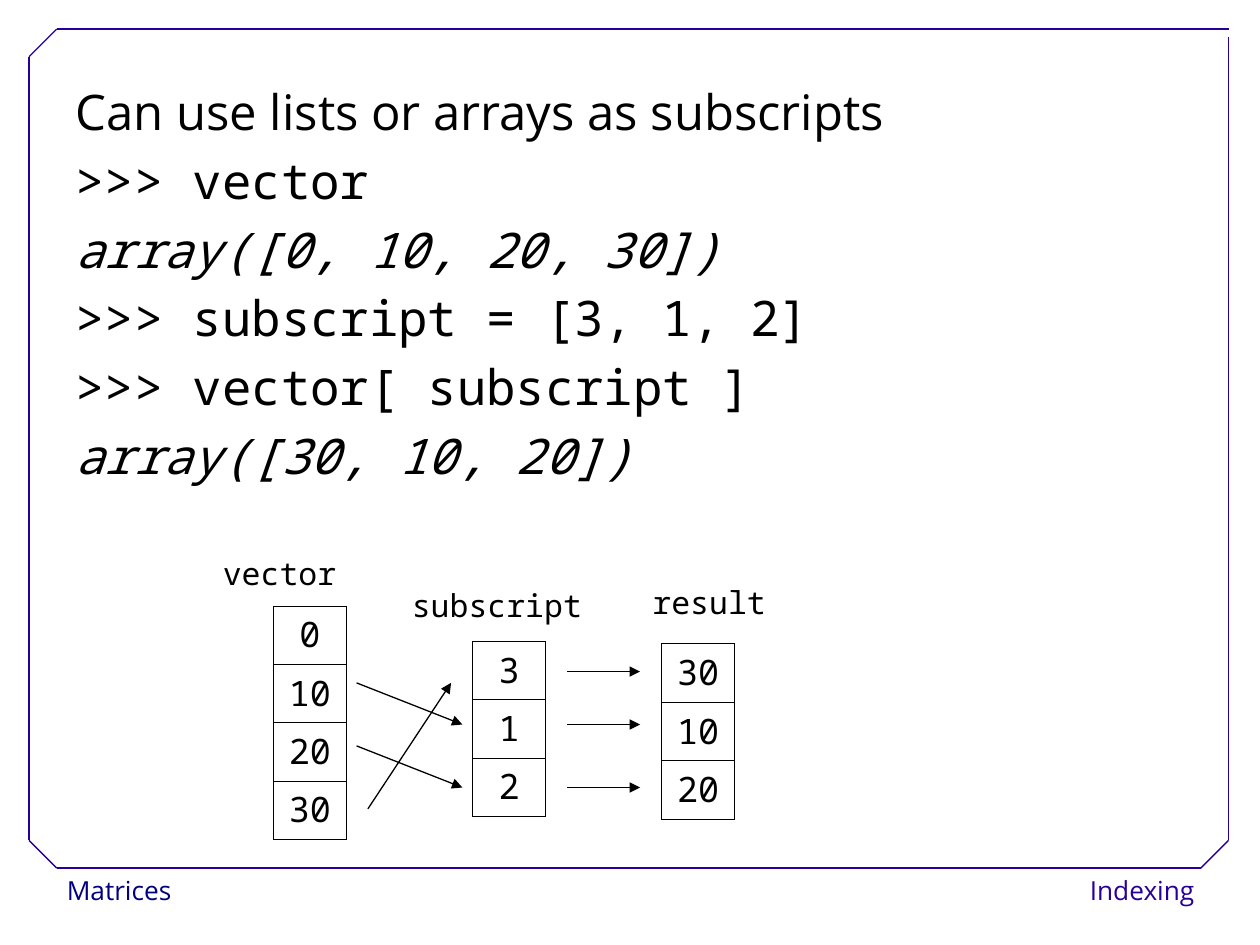
from dataclasses import dataclass

from lxml.etree import SubElement as Sub
from pptx import Presentation
from pptx.dml.color import RGBColor as Rgb
from pptx.enum.shapes import MSO_CONNECTOR as Link
from pptx.enum.text import MSO_ANCHOR as Anchor
from pptx.enum.text import MSO_AUTO_SIZE as Fit
from pptx.enum.text import PP_ALIGN as Align
from pptx.oxml.ns import qn
from pptx.util import Inches, Pt


@dataclass(frozen=True)
class Theme:
    ink: str = "000000"
    paper: str = "FFFFFF"
    navy: str = "000080"
    frame: str = "280099"
    sans: str = "Open Sans"
    mono: str = "Noto Sans Mono"
    body: int = 28
    cell: int = 20
    label: int = 18
    foot: int = 15
    rule: float = 0.75
    grid: float = 0.45


THEME = Theme()


def style(para, name, size, tint=THEME.ink, italic=False):
    form = {"name": name, "size": Pt(size), "italic": italic}
    for key, val in form.items():
        setattr(para.font, key, val)
    para.font.color.rgb = Rgb.from_string(tint)


def draw_line(slide, start, end, tint=THEME.ink, arrow=False):
    ends = [Inches(v) for v in (*start, *end)]
    line = slide.shapes.add_connector(Link.STRAIGHT, *ends)
    line.line.color.rgb = Rgb.from_string(tint)
    line.line.width = Pt(THEME.rule)
    if arrow:
        Sub(line.line._get_or_add_ln(), qn("a:tailEnd"), type="triangle")
    Sub(line._element.spPr, qn("a:effectLst"))


def add_text(slide, box, text, font, size, tint=THEME.ink, align=Align.LEFT):
    shape = slide.shapes.add_textbox(*map(Inches, box))
    shape.text_frame.word_wrap = True
    para = shape.text_frame.paragraphs[0]
    para.text, para.alignment = text, align
    style(para, font, size, tint)
    return shape


# Footer labels below the frame
def add_foot(slide, box, text, tint, align):
    shape = add_text(slide, box, text, THEME.sans, THEME.foot, tint, align)
    shape.fill.solid()
    shape.fill.fore_color.rgb = Rgb.from_string(THEME.paper)
    frame = shape.text_frame
    form = {"margin_left": 0.09, "margin_right": 0.09,
            "margin_top": 0.04, "margin_bottom": 0.04}
    for key, val in form.items():
        setattr(frame, key, Inches(val))
    frame.paragraphs[0].line_spacing = 1.02


# Frame with cut corners; the top right corner stays open
def add_frame(slide, box, cut=0.22, gap=0.06):
    left, top, wide, high = box
    right, base = left + wide, top + high
    pts = [(right, top), (left + cut, top), (left, top + cut),
           (left, base - cut), (left + cut, base), (right - cut, base),
           (right, base - cut), (right, top + gap)]
    for start, end in zip(pts, pts[1:]):
        draw_line(slide, start, end, THEME.frame)


# Heading line and console session in the body placeholder
def add_body(slide, box, lines):
    body = slide.placeholders[1]
    for key, val in zip(("left", "top", "width", "height"), box):
        setattr(body, key, Inches(val))
    frame = body.text_frame
    frame.auto_size = Fit.NONE
    frame.vertical_anchor = Anchor.TOP
    for num, (text, font, italic) in enumerate(lines):
        para = frame.add_paragraph() if num else frame.paragraphs[0]
        para.text = text
        props = para._p.get_or_add_pPr()
        props.set("marL", str(Inches(0.34)))
        props.set("indent", str(Inches(-0.34)))
        Sub(props, qn("a:buNone"))
        form = {"line_spacing": 0.85, "space_before": Pt(0),
                "space_after": Pt(10.7), "alignment": Align.LEFT}
        for key, val in form.items():
            setattr(para, key, val)
        style(para, font, THEME.body, italic=italic)


def add_edges(cell):
    props = cell._tc.get_or_add_tcPr()
    for side in ("lnL", "lnR", "lnT", "lnB"):
        edge = Sub(props, qn(f"a:{side}"), w=str(Pt(THEME.grid)))
        Sub(Sub(edge, qn("a:solidFill")), qn("a:srgbClr"), val=THEME.ink)
    cell.fill.background()


# One column of values
def add_stack(slide, left, top, vals, wide=0.58, step=0.463):
    box = (left, top, wide, step * len(vals))
    table = slide.shapes.add_table(len(vals), 1, *map(Inches, box)).table
    table.first_row = table.horz_banding = False
    for num, val in enumerate(vals):
        cell = table.cell(num, 0)
        cell.text = str(val)
        add_edges(cell)
        para = cell.text_frame.paragraphs[0]
        para.alignment, para.line_spacing = Align.CENTER, 0.93
        style(para, THEME.mono, THEME.cell)


# Stacks, their names and the arrows between them
def add_diagram(slide, left, top):
    stacks = [
        ("vector", (0, 0, 1.25), (0.5, 0.46), [0, 10, 20, 30]),
        ("subscript", (1.5, 0.25, 1.58), (2.08, 0.74), [3, 1, 2]),
        ("result", (3.41, 0.23, 1.17), (3.58, 0.76), [30, 10, 20]),
    ]
    for name, (dx, dy, wide), (col, row), vals in stacks:
        add_stack(slide, left + col, top + row, vals)
        add_text(slide, (left + dx, top + dy, wide, 0.4), name,
                 THEME.mono, THEME.label)
    picks = [((1.25, 2.07), (1.91, 1.07)), ((1.16, 1.07), (2, 1.4)),
             ((1.16, 1.57), (2, 1.9))]
    flows = [((2.83, y), (3.41, y)) for y in (0.98, 1.4, 1.9)]
    for ends in picks + flows:
        start, end = [(left + x, top + y) for x, y in ends]
        draw_line(slide, start, end, arrow=True)


def main():
    deck = Presentation()
    deck.slide_width, deck.slide_height = Inches(10), Inches(7.5)
    slide = deck.slides.add_slide(deck.slide_layouts[1])
    title = slide.shapes.title._element
    title.getparent().remove(title)
    add_foot(slide, (0.44, 6.89, 1.95, 0.37), "Matrices", THEME.navy,
             Align.LEFT)
    add_foot(slide, (8.3, 6.89, 1.27, 0.37), "Indexing", THEME.frame,
             Align.RIGHT)
    add_frame(slide, (0.23, 0.23, 9.52, 6.66))
    add_body(slide, (0.5, 0.67, 9, 6.08), [
        ("Can use lists or arrays as subscripts", THEME.sans, False),
        (">>> vector", THEME.mono, False),
        ("array([0, 10, 20, 30])", THEME.mono, True),
        (">>> subscript = [3, 1, 2]", THEME.mono, False),
        (">>> vector[ subscript ]", THEME.mono, False),
        ("array([30, 10, 20])", THEME.mono, True),
    ])
    add_diagram(slide, 1.67, 4.35)
    deck.save("out.pptx")


if __name__ == "__main__":
    main()
